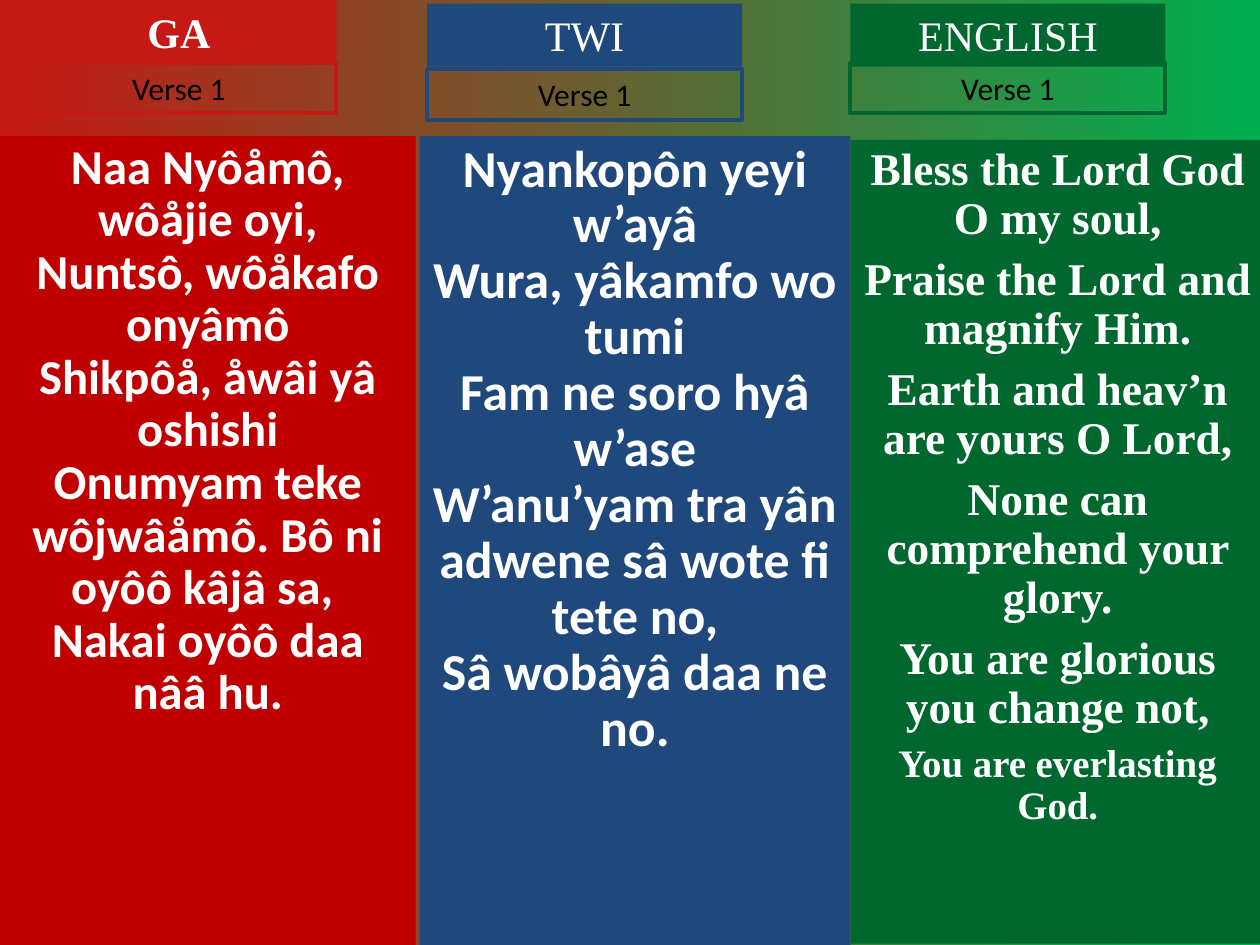
import pptx
import pptx.util
import pptx.dml.color
import pptx.enum.shapes
import pptx.enum.text

Pt = pptx.util.Pt
SERIF, SANS = "Times New Roman", "Calibri"
WHITE, BLACK = "FFFFFF", "000000"

COLUMNS = [
    {
        "title": "GA", "title_bold": True, "title_color": "C51915", "verse_color": "C00000",
        "title_box": (12.24, 0, 180, 36), "label_top": 36,
        "verse_box": (0, 77.76, 237.6, 462.24),
        "font": SANS, "size": 27.8, "before": 0,
        "lines": [
            "Naa Nyôåmô, wôåjie oyi,",
            "Nuntsô, wôåkafo onyâmô",
            "Shikpôå, åwâi yâ oshishi",
            "Onumyam teke wôjwâåmô. Bô ni oyôô kâjâ sa, ",
            "Nakai oyôô daa nââ hu.",
        ],
    },
    {
        "title": "TWI", "title_bold": False, "title_color": "1F497D", "verse_color": "1F497D",
        "title_box": (244.08, 2.16, 180, 36), "label_top": 39.6,
        "verse_box": (239.76, 77.76, 246.24, 462.24),
        "font": SANS, "size": 29.6, "before": 0,
        "lines": [
            "Nyankopôn yeyi w’ayâ",
            "Wura, yâkamfo wo tumi",
            "Fam ne soro hyâ w’ase",
            "W’anu’yam tra yân adwene sâ wote fi tete no,",
            "Sâ wobâyâ daa ne no.",
        ],
    },
    {
        "title": "ENGLISH", "title_bold": False, "title_color": "00682F", "verse_color": "00682F",
        "title_box": (486, 2.16, 180, 36), "label_top": 36,
        "verse_box": (486, 79.92, 236.88, 459.36),
        "font": SERIF, "size": 25.9, "before": 7,
        "lines": [
            "Bless the Lord God O my soul,",
            "Praise the Lord and magnify Him.",
            "Earth and heav’n are yours O Lord,",
            "None can comprehend your glory.",
            "You are glorious you change not,",
        ],
        "ending": ("You are everlasting God.", 22.2, 6),
    },
]


def rgb(value):
    return pptx.dml.color.RGBColor.from_string(value)


def add_box(s, box, fill=None, line=None):
    sp = s.shapes.add_shape(pptx.enum.shapes.MSO_SHAPE.RECTANGLE, *map(Pt, box))
    sp.shadow.inherit = False
    if fill:
        sp.fill.solid()
        sp.fill.fore_color.rgb = rgb(fill)
    else:
        sp.fill.background()
    if line:
        sp.line.color.rgb = rgb(line)
        sp.line.width = Pt(2.25)
    else:
        sp.line.fill.background()
    sp.text_frame.word_wrap = True
    sp.text_frame.vertical_anchor = pptx.enum.text.MSO_ANCHOR.TOP
    return sp.text_frame


def write(p, text, color, **font):
    p.alignment = pptx.enum.text.PP_ALIGN.CENTER
    r = p.add_run()
    r.text = text
    r.font.color.rgb = rgb(color)
    for name, value in font.items():
        setattr(r.font, name, value)


def add_heading(s, column):
    left, _, width, _ = column["title_box"]
    color = column["title_color"]
    title = add_box(s, column["title_box"], fill=color)
    write(title.paragraphs[0], column["title"], WHITE,
          name=SERIF, size=Pt(24), bold=column["title_bold"])
    label = add_box(s, (left, column["label_top"], width, 28.8), line=color)
    write(label.paragraphs[0], "Verse 1", BLACK, name=SANS, size=Pt(18))
    for tf in (title, label):
        tf.auto_size = pptx.enum.text.MSO_AUTO_SIZE.SHAPE_TO_FIT_TEXT


def add_verse(s, column):
    tf = add_box(s, column["verse_box"], fill=column["verse_color"])
    lines = [(text, column["size"], column["before"]) for text in column["lines"]]
    if "ending" in column:
        lines.append(column["ending"])
    for i, (text, size, before) in enumerate(lines):
        p = tf.add_paragraph() if i else tf.paragraphs[0]
        p.line_spacing = 0.9
        p.space_before = Pt(before if i else 0)
        write(p, text, WHITE, name=column["font"], size=Pt(size), bold=True)


def set_background(s):
    fill = s.background.fill
    fill.gradient()
    fill.gradient_angle = 0
    for stop, position, color in zip(fill.gradient_stops, (0, 1), ("C51915", "00B050")):
        stop.position = position
        stop.color.rgb = rgb(color)


def main():
    prs = pptx.Presentation()
    prs.slide_width, prs.slide_height = Pt(720), Pt(540)
    s = prs.slides.add_slide(prs.slide_layouts[6])
    set_background(s)
    for column in COLUMNS:
        add_verse(s, column)
        add_heading(s, column)
    prs.save("out.pptx")


if __name__ == "__main__":
    main()
